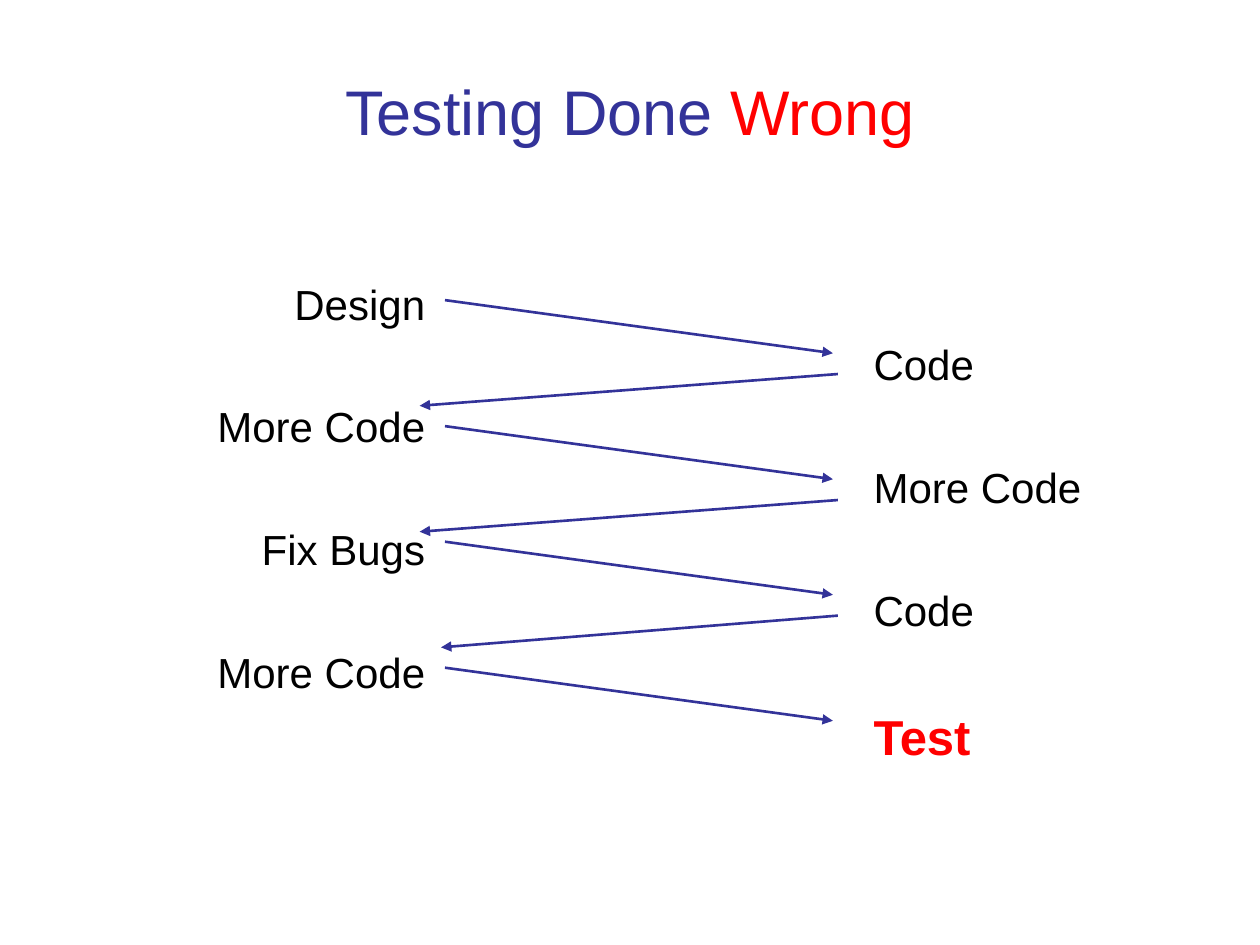
import dataclasses

import lxml.etree
import pptx
import pptx.dml.color
import pptx.enum.shapes
import pptx.enum.text
import pptx.oxml.ns
import pptx.util

Cm = pptx.util.Cm
Pt = pptx.util.Pt
Align = pptx.enum.text.PP_ALIGN
Anchor = pptx.enum.text.MSO_ANCHOR


@dataclasses.dataclass(frozen=True)
class Theme:
    """Colours, font and type sizes."""
    blue: str = "333399"
    red: str = "FF0000"
    black: str = "000000"
    font: str = "Arial"
    title_size: float = 36
    step_size: float = 24
    test_size: float = 28
    step_gap: float = 41.3
    arrow_width: float = 1.5


def apply(target, values):
    """Set each attribute in values on target."""
    for name, value in values.items():
        setattr(target, name, value)


class SlideWriter:
    """Draws styled elements on one slide."""

    def __init__(self, slide, theme):
        """Keep the slide and its theme."""
        self.slide = slide
        self.theme = theme

    def text(self, box, paragraphs, align, gap=0, **frame_format):
        """Add paragraphs, each a list of (words, size, colour, bold) runs."""
        frame = self.slide.shapes.add_textbox(*map(Cm, box)).text_frame
        apply(frame, {"word_wrap": True, **frame_format})
        for index, runs in enumerate(paragraphs):
            paragraph = frame.paragraphs[0] if index == 0 else frame.add_paragraph()
            apply(paragraph, {"alignment": align,
                              "space_before": Pt(gap if index else 0)})
            for words, size, colour, bold in runs:
                run = paragraph.add_run()
                run.text = words
                apply(run.font, {"name": self.theme.font, "size": Pt(size), "bold": bold})
                run.font.color.rgb = pptx.dml.color.RGBColor.from_string(colour)

    def arrow(self, *ends):
        """Add a straight arrow from x1, y1 to x2, y2."""
        arrow = self.slide.shapes.add_connector(
            pptx.enum.shapes.MSO_CONNECTOR.STRAIGHT, *map(Cm, ends))
        arrow.line.width = Pt(self.theme.arrow_width)
        arrow.line.color.rgb = pptx.dml.color.RGBColor.from_string(self.theme.blue)
        qn = pptx.oxml.ns.qn
        lxml.etree.SubElement(arrow.line._get_or_add_ln(), qn("a:tailEnd"), type="triangle")
        lxml.etree.SubElement(arrow._element.spPr, qn("a:effectLst"))


def build():
    """Build and save the slide."""
    theme = Theme()
    deck = pptx.Presentation()
    apply(deck, {"slide_width": Cm(25.4), "slide_height": Cm(19.05)})
    writer = SlideWriter(deck.slides.add_slide(deck.slide_layouts[6]), theme)

    def step(words):
        """Give the runs of an ordinary step."""
        return [(words, theme.step_size, theme.black, False)]

    writer.text((1.7, 0.71, 22, 2.41),
                [[("Testing Done ", theme.title_size, theme.blue, False),
                  ("Wrong", theme.title_size, theme.red, False)]],
                Align.CENTER, vertical_anchor=Anchor.BOTTOM)

    left_steps = [step(words) for words in ("Design", "More Code", "Fix Bugs", "More Code")]
    writer.text((3.99, 5.38, 4.83, 11.13), left_steps, Align.RIGHT,
                theme.step_gap, margin_top=Cm(0.23))

    # Each round goes right, then back left; the last one ends at the test.
    left_x, right_x, drop = 8.97, 16.79, 1.07
    return_x, return_start, return_end = 16.89, 1.49, 2.13
    rounds = [(6.05, 8.46), (8.59, 8.46), (10.92, 8.89), (13.46, None)]
    for top, back_x in rounds:
        writer.arrow(left_x, top, right_x, top + drop)
        if back_x is not None:
            writer.arrow(return_x, top + return_start, back_x, top + return_end)

    right_steps = [step(words) for words in ("Code", "More Code", "Code")]
    right_steps.append([("Test", theme.test_size, theme.red, True)])
    writer.text((17.27, 6.6, 5.33, 11.13), right_steps, Align.LEFT,
                theme.step_gap, margin_top=Cm(0.23), margin_left=Cm(0.34))

    deck.save("out.pptx")


build()
